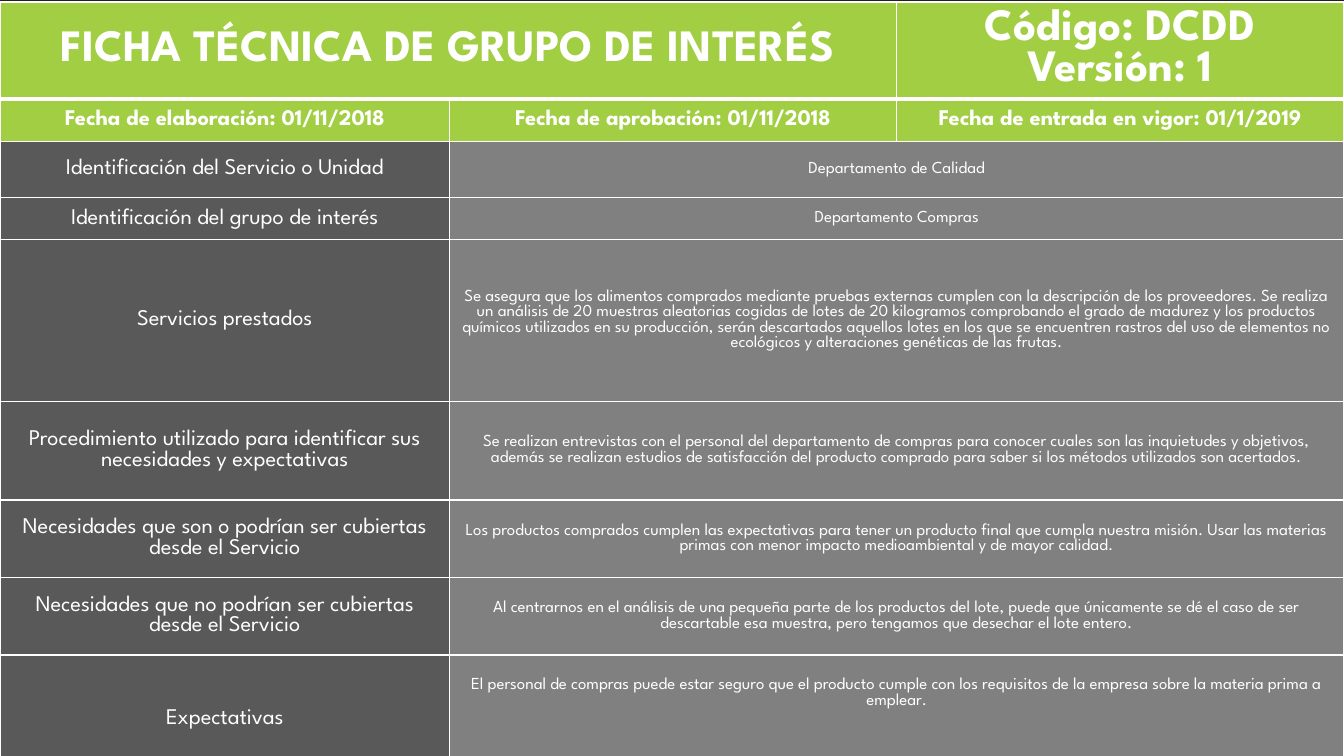
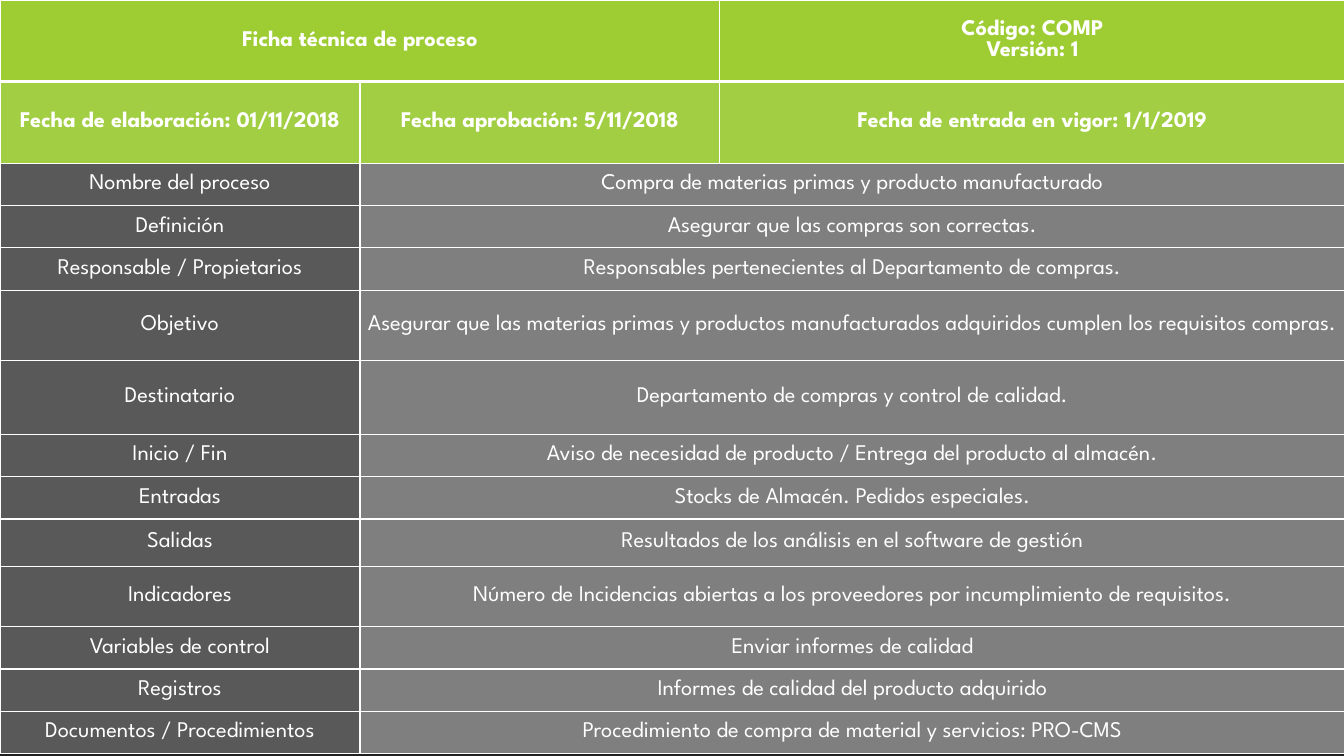
"""Build two technical data sheets, each a full-slide table."""
from dataclasses import dataclass

from lxml.etree import SubElement
from pptx import Presentation
from pptx.dml.color import RGBColor
from pptx.enum.text import MSO_ANCHOR, PP_ALIGN
from pptx.oxml.ns import qn
from pptx.util import Inches, Pt


@dataclass(frozen=True)
class Theme:
    font: str = "League Spartan"
    text: str = "FFFFFF"
    rule: str = "FFFFFF"
    background: str = "212121"
    green: str = "A1CE42"
    bright_green: str = "9ECD33"
    label: str = "595959"
    answer: str = "808080"
    dark_answer: str = "7F7F7F"
    title_size: int = 32
    body_size: int = 16
    small_size: int = 12
    thin: float = 1
    thick: float = 3
    padding: float = 0.07


THEME = Theme()

SHEETS = [
    {
        "top": 0.02, "height": 7.99, "columns": (4.46, 4.43, 4.44),
        "title_fill": THEME.green, "answer_fill": THEME.answer,
        "title_size": THEME.title_size, "answer_size": THEME.small_size,
        "title_height": 0.69, "dates_height": 0.42, "last_gap": 0.51,
        "title": "FICHA TÉCNICA DE GRUPO DE INTERÉS",
        "code": "Código: DCDD Versión: 1",
        "dates": ("Fecha de elaboración:\u00a001/11/2018",
                  "Fecha de aprobación:\u00a001/11/2018",
                  "Fecha de entrada en vigor: 01/1/2019"),
        "rows": [
            (0.56, "Identificación del Servicio o Unidad", "Departamento de Calidad"),
            (0.42, "Identificación del grupo de interés", "Departamento Compras"),
            (1.6, "Servicios prestados",
             "Se asegura que los alimentos comprados mediante pruebas externas cumplen con la "
             "descripción de los proveedores. Se realiza un análisis de 20 muestras aleatorias "
             "cogidas de lotes de 20 kilogramos comprobando el grado de madurez y los productos "
             "químicos utilizados en su producción, serán descartados aquellos lotes en los que "
             "se encuentren rastros del uso de elementos no ecológicos y alteraciones genéticas "
             "de las frutas."),
            (0.98, "Procedimiento utilizado para identificar sus necesidades y expectativas",
             "Se realizan entrevistas con el personal del departamento de compras para conocer "
             "cuales son las inquietudes y objetivos, además se realizan estudios de satisfacción "
             "del producto comprado para saber si los métodos utilizados son acertados."),
            (0.77, "Necesidades que son o podrían ser cubiertas desde el Servicio",
             "Los productos comprados cumplen las expectativas para tener un producto final que "
             "cumpla nuestra misión. Usar las materias primas con menor impacto medioambiental y "
             "de mayor calidad."),
            (0.77, "Necesidades que no podrían ser cubiertas desde el Servicio",
             "Al centrarnos en el análisis de una pequeña parte de los productos del lote, puede "
             "que únicamente se dé el caso de ser descartable esa muestra, pero tengamos que "
             "desechar el lote entero."),
            (1.27, "Expectativas",
             "El personal de compras puede estar seguro que el producto cumple con los requisitos "
             "de la empresa sobre la materia prima a emplear."),
        ],
    },
    {
        "top": 0, "height": 7.5, "columns": (3.57, 3.57, 6.2),
        "title_fill": THEME.bright_green, "answer_fill": THEME.dark_answer,
        "title_size": THEME.body_size, "answer_size": THEME.body_size,
        "title_height": 0.81, "dates_height": 0.81, "last_gap": 0,
        "title": "Ficha técnica de proceso",
        "code": "Código: COMP\nVersión: 1",
        "dates": ("Fecha de elaboración: 01/11/2018",
                  "Fecha aprobación: 5/11/2018",
                  "Fecha de entrada en vigor: 1/1/2019"),
        "rows": [
            (0.42, "Nombre del proceso", "Compra de materias primas y producto manufacturado"),
            (0.42, "Definición", "Asegurar que las compras son correctas."),
            (0.42, "Responsable / Propietarios",
             "Responsables pertenecientes al Departamento de compras."),
            (0.7, "Objetivo",
             "Asegurar que las materias primas y productos manufacturados adquiridos cumplen "
             "los requisitos compras."),
            (0.73, "Destinatario", "Departamento de compras y control de calidad."),
            (0.42, "Inicio / Fin",
             "Aviso de necesidad de producto / Entrega del producto al almacén."),
            (0.42, "Entradas", "Stocks de Almacén. Pedidos especiales."),
            (0.47, "Salidas", "Resultados de los análisis en el software de gestión"),
            (0.6, "Indicadores",
             "Número de Incidencias abiertas a los proveedores por incumplimiento de requisitos."),
            (0.42, "Variables de control", "Enviar informes de calidad"),
            (0.42, "Registros", "Informes de calidad del producto adquirido"),
            (0.42, "Documentos / Procedimientos",
             "Procedimiento de compra de material y servicios: PRO-CMS"),
        ],
    },
]


def rule_cell(cell, fill, above, below):
    """Fill a cell and draw its four borders."""
    properties = cell._tc.get_or_add_tcPr()
    widths = {"a:lnL": THEME.thin, "a:lnR": THEME.thin, "a:lnT": above, "a:lnB": below}
    for side, width in widths.items():
        border = SubElement(properties, qn(side), w=str(Pt(width)))
        solid = SubElement(border, qn("a:solidFill"))
        SubElement(solid, qn("a:srgbClr"), val=THEME.rule)
    cell.fill.solid()
    cell.fill.fore_color.rgb = RGBColor.from_string(fill)


def write_cell(cell, words, size, bold=False, gap_below=0):
    """Write centred text in a cell."""
    layout = {"vertical_anchor": MSO_ANCHOR.MIDDLE,
              "margin_bottom": Inches(THEME.padding + gap_below)}
    for side in ("left", "right", "top"):
        layout["margin_" + side] = Inches(THEME.padding)
    for name, value in layout.items():
        setattr(cell, name, value)
    cell.text = words
    for paragraph in cell.text_frame.paragraphs:
        paragraph.alignment = PP_ALIGN.CENTER
        for run in paragraph.runs:
            for name, value in {"name": THEME.font, "size": Pt(size), "bold": bold}.items():
                setattr(run.font, name, value)
            run.font.color.rgb = RGBColor.from_string(THEME.text)


def add_sheet(presentation, sheet):
    """Add a slide with one data sheet."""
    slide = presentation.slides.add_slide(presentation.slide_layouts[6])
    slide.background.fill.solid()
    slide.background.fill.fore_color.rgb = RGBColor.from_string(THEME.background)

    heights = [sheet["title_height"], sheet["dates_height"]]
    heights += [height for height, _, _ in sheet["rows"]]
    frame = slide.shapes.add_table(
        len(heights), len(sheet["columns"]), 0, Inches(sheet["top"]),
        Inches(sum(sheet["columns"])), Inches(sheet["height"]))
    table = frame.table
    table.first_row = table.horz_banding = False
    for column, width in zip(table.columns, sheet["columns"]):
        column.width = Inches(width)
    for row, height in zip(table.rows, heights):
        row.height = Inches(height)
    frame.height = Inches(sheet["height"])

    body_fills = (THEME.label, sheet["answer_fill"], sheet["answer_fill"])
    fills = [[sheet["title_fill"]] * 3, [THEME.green] * 3]
    fills += [body_fills] * len(sheet["rows"])
    for index, row_fills in enumerate(fills):
        above = THEME.thick if index == 1 else THEME.thin
        below = THEME.thick if index == 0 else THEME.thin
        for column, fill in enumerate(row_fills):
            rule_cell(table.cell(index, column), fill, above, below)

    table.cell(0, 0).merge(table.cell(0, 1))
    write_cell(table.cell(0, 0), sheet["title"], sheet["title_size"], bold=True)
    write_cell(table.cell(0, 2), sheet["code"], sheet["title_size"], bold=True)
    for column, date in enumerate(sheet["dates"]):
        write_cell(table.cell(1, column), date, THEME.body_size, bold=True)
    last = len(heights) - 1
    for index, (_, label, answer) in enumerate(sheet["rows"], start=2):
        table.cell(index, 1).merge(table.cell(index, 2))
        write_cell(table.cell(index, 0), label, THEME.body_size)
        gap = sheet["last_gap"] if index == last else 0
        write_cell(table.cell(index, 1), answer, sheet["answer_size"], gap_below=gap)


presentation = Presentation()
presentation.slide_width = Inches(13.33)
presentation.slide_height = Inches(7.5)
for sheet in SHEETS:
    add_sheet(presentation, sheet)
presentation.save("out.pptx")
